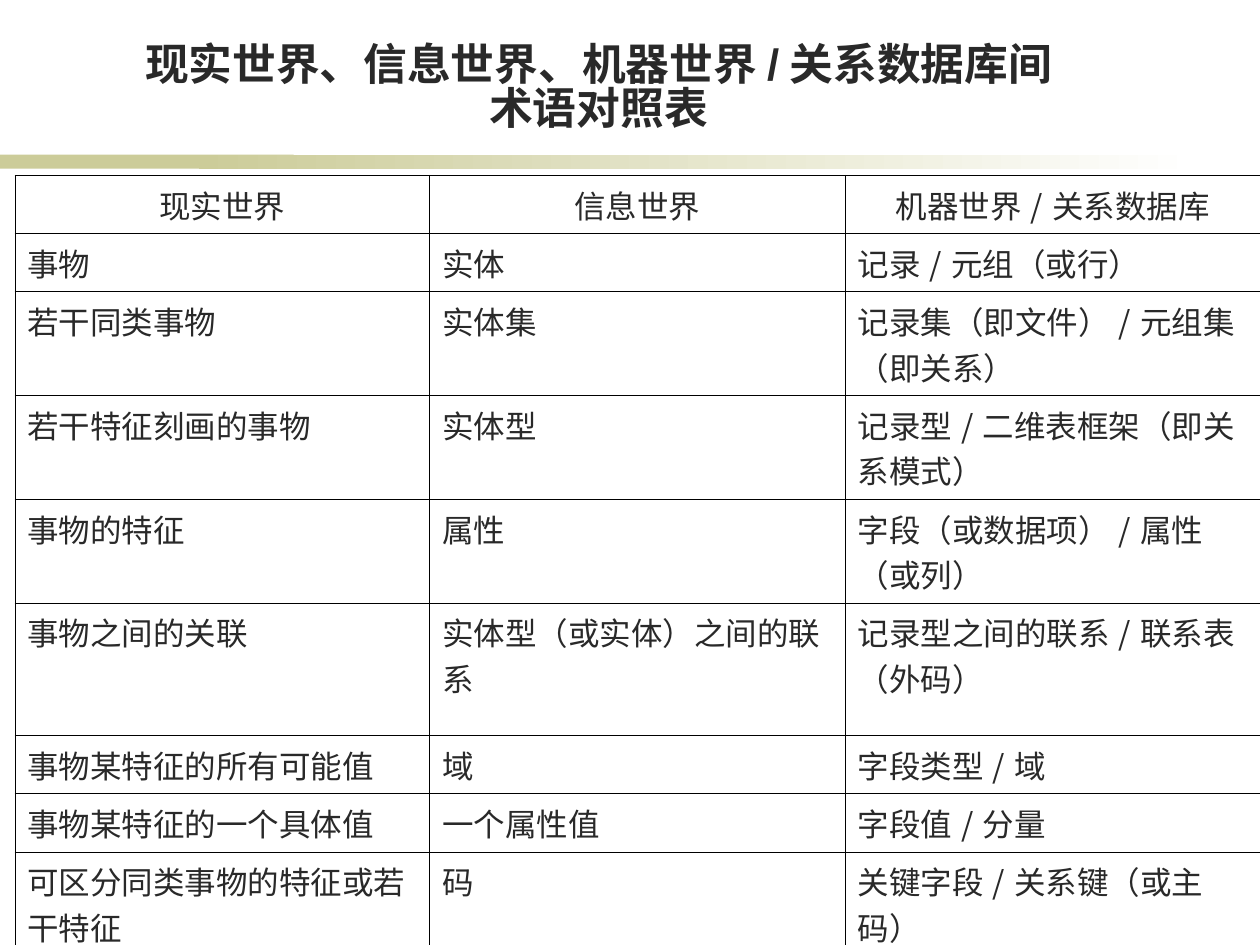
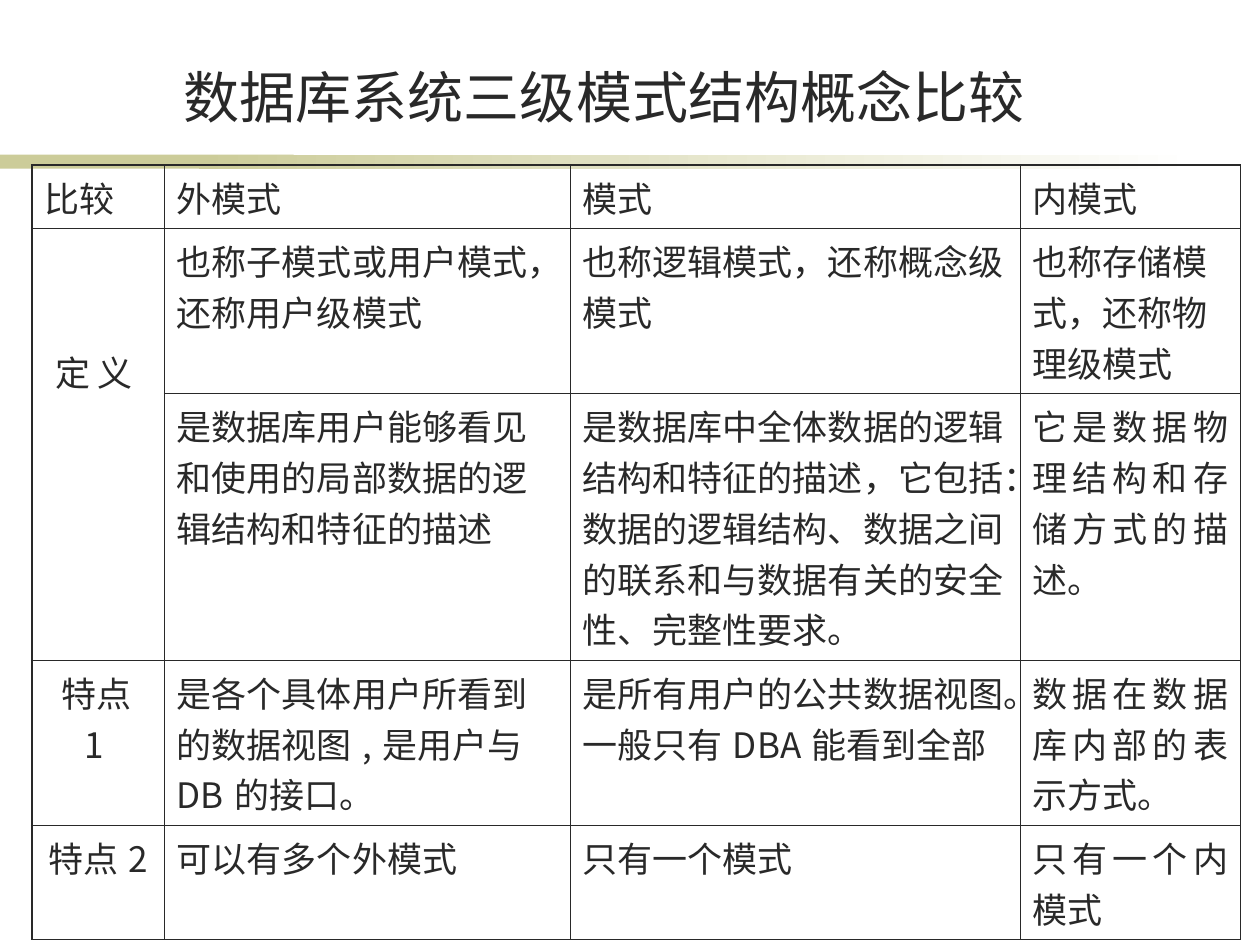
"""Build two slides of database term tables with a shared title band."""
from dataclasses import dataclass

from lxml import etree
from pptx import Presentation
from pptx.dml.color import RGBColor
from pptx.enum.shapes import MSO_SHAPE
from pptx.enum.text import MSO_ANCHOR, MSO_AUTO_SIZE, PP_ALIGN
from pptx.oxml.ns import qn
from pptx.util import Cm, Pt

RECT = MSO_SHAPE.RECTANGLE
LEFT, MID, JUST = PP_ALIGN.LEFT, PP_ALIGN.CENTER, PP_ALIGN.JUSTIFY
TOP, CENTER, BOTTOM = MSO_ANCHOR.TOP, MSO_ANCHOR.MIDDLE, MSO_ANCHOR.BOTTOM


@dataclass(frozen=True)
class Theme:
    ink: str = "292929"
    black: str = "000000"
    band: str = "CCCC99"
    paper: str = "FFFFFF"
    sans: str = "Noto Sans CJK SC"
    latin: str = "Arial"
    small: float = 18
    body: float = 20
    head: float = 25
    large: float = 32
    thin: float = 0.45
    thick: float = 1.08


look = Theme()


def style(par, size, align, face=look.sans, bold=False):
    par.alignment = align
    font = par.font
    font.size, font.bold, font.name = Pt(size), bold, face
    font.color.rgb = RGBColor.from_string(look.ink)
    etree.SubElement(font._rPr, qn("a:ea"), typeface=look.sans)


def border(cell, color, widths):
    props = cell._tc.get_or_add_tcPr()
    for spot, (side, width) in enumerate(zip("LRTB", widths)):
        line = etree.Element(qn(f"a:ln{side}"), w=str(Pt(width)))
        fill = etree.SubElement(line, qn("a:solidFill"))
        etree.SubElement(fill, qn("a:srgbClr"), val=color)
        props.insert(spot, line)


terms = [
    ["现实世界", "信息世界", "机器世界/关系数据库"],
    ["事物", "实体", "记录/元组（或行）"],
    ["若干同类事物", "实体集", "记录集（即文件）/元组集（即关系）"],
    ["若干特征刻画的事物", "实体型", "记录型/二维表框架（即关系模式）"],
    ["事物的特征", "属性", "字段（或数据项）/属性（或列）"],
    ["事物之间的关联", "实体型（或实体）之间的联系", "记录型之间的联系/联系表（外码）"],
    ["事物某特征的所有可能值", "域", "字段类型/域"],
    ["事物某特征的一个具体值", "一个属性值", "字段值/分量"],
    ["可区分同类事物的特征或若干特征", "码", "关键字段/关系键（或主码）"],
]
levels = [
    ["比较", "外模式", "模式", "内模式"],
    ["定 义 ", "也称子模式或用户模式，还称用户级模式",
     "也称逻辑模式，还称概念级模式", "也称存储模式，还称物理级模式"],
    ["", "是数据库用户能够看见和使用的局部数据的逻辑结构和特征的描述",
     "是数据库中全体数据的逻辑结构和特征的描述，它包括：数据的逻辑结构、"
     "数据之间的联系和与数据有关的安全性、完整性要求。",
     "它是数据物理结构和存储方式的描述。"],
    [" 特点1 ", "是各个具体用户所看到的数据视图,是用户与DB的接口。",
     "是所有用户的公共数据视图。一般只有DBA能看到全部",
     "数据在数据库内部的表示方式。"],
    ["特点2 ", "可以有多个外模式", "只有一个模式", "只有一个内模式"],
]
pages = [
    dict(title="现实世界、信息世界、机器世界/关系数据库间\v术语对照表",
         box=(1.27, 0.33, 21.59, 2.41), size=look.head, face=look.latin, bold=True,
         cells=terms, at=(0.3, 3.53), cols=[8.36, 8.38, 8.36],
         rows=[1.02, 1.02, 1.78, 1.78, 1.78, 2.67, 1.02, 1.12, 1.78],
         text=look.small, edge=look.black, rim=look.thin),
    dict(title="数据库系统三级模式结构概念比较",
         box=(-0.3, 0.71, 24.97, 1.96), size=look.large, face=look.sans, bold=False,
         cells=levels, at=(0.64, 3.33), cols=[2.67, 8.18, 9.07, 4.45],
         rows=[1.14, 2.9, 4.85, 3.18, 2.03],
         text=look.body, edge=look.ink, rim=look.thick),
]

deck = Presentation()
deck.slide_width, deck.slide_height = Cm(25.4), Cm(19.05)
plain = deck.slide_layouts[5]
tables = []

for page in pages:
    slide = deck.slides.add_slide(plain)
    title = slide.shapes.title
    title.left, title.top, title.width, title.height = map(Cm, page["box"])
    frame = title.text_frame
    frame.text = page["title"]
    frame.auto_size, frame.word_wrap = MSO_AUTO_SIZE.NONE, True
    frame.vertical_anchor, frame.margin_bottom = BOTTOM, Cm(0.05)
    style(frame.paragraphs[0], page["size"], MID, page["face"], page["bold"])
    frame.paragraphs[0].line_spacing = 0.84

    cells, cols, rows = page["cells"], page["cols"], page["rows"]
    place = map(Cm, (*page["at"], sum(cols), sum(rows)))
    table = slide.shapes.add_table(len(rows), len(cols), *place).table
    table.first_row = table.horz_banding = False
    for col, width in zip(table.columns, cols):
        col.width = Cm(width)
    for row, height in zip(table.rows, rows):
        row.height = Cm(height)
    for r, line in enumerate(cells):
        for c, words in enumerate(line):
            cell = table.cell(r, c)
            cell.text = words
            cell.fill.background()
            if cells is terms:
                align = MID if r == 0 else LEFT
                cell.vertical_anchor = CENTER if r == 0 else TOP
            else:
                align = MID if r and c == 0 else JUST if r > 1 and c == 3 else LEFT
            style(cell.text_frame.paragraphs[0], page["text"], align)
            outer = (c == 0, c == len(cols) - 1, r == 0, r == len(rows) - 1)
            border(cell, page["edge"], [page["rim"] if out else look.thin for out in outer])
    tables.append(table)

define = tables[1].cell(1, 0)
define.merge(tables[1].cell(2, 0))
define.margin_top = Cm(2.36)

tree = deck.slide_master.shapes.element
for spot, (left, width, end) in enumerate([(0, 5.92, None), (4.01, 20.12, look.paper)]):
    bar = slide.shapes.add_shape(RECT, Cm(left), Cm(3.12), Cm(width), Cm(0.28))
    bar.shadow.inherit = False
    bar.line.fill.background()
    if end:
        bar.fill.gradient()
        bar.fill.gradient_angle = 0
        for stop, color, pos in zip(bar.fill.gradient_stops, (look.band, end), (0, 1)):
            stop.color.rgb = RGBColor.from_string(color)
            stop.position = pos
    else:
        bar.fill.solid()
        bar.fill.fore_color.rgb = RGBColor.from_string(look.band)
    bar.element.nvSpPr.cNvPr.id = 20 + spot
    tree.insert(2 + spot, bar.element)

deck.save("out.pptx")
